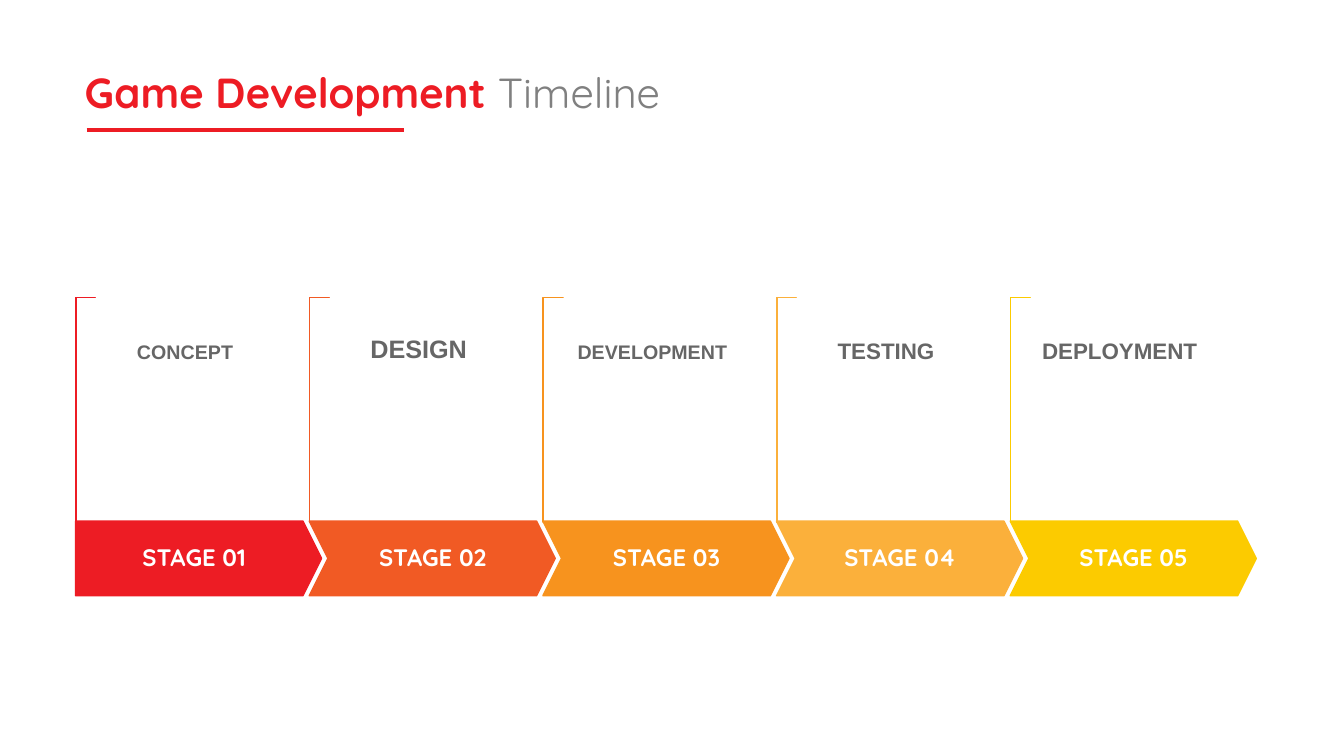
from lxml import etree
from pptx import Presentation
from pptx.dml.color import RGBColor
from pptx.enum.shapes import MSO_CONNECTOR, MSO_SHAPE
from pptx.enum.text import MSO_ANCHOR, PP_ALIGN
from pptx.oxml.ns import qn
from pptx.util import Inches, Pt

STRAIGHT = MSO_CONNECTOR.STRAIGHT
CORNER, PENTAGON, CHEVRON = MSO_SHAPE.CORNER, MSO_SHAPE.PENTAGON, MSO_SHAPE.CHEVRON
TOP, MIDDLE = MSO_ANCHOR.TOP, MSO_ANCHOR.MIDDLE
LEFT, CENTER = PP_ALIGN.LEFT, PP_ALIGN.CENTER

RED = RGBColor(0xED, 0x1C, 0x24)
VERMILION = RGBColor(0xF1, 0x5A, 0x24)
ORANGE = RGBColor(0xF7, 0x93, 0x1E)
AMBER = RGBColor(0xFB, 0xB0, 0x3B)
YELLOW = RGBColor(0xFC, 0xCB, 0x00)
WHITE = RGBColor(0xFF, 0xFF, 0xFF)
GREY = RGBColor(0x80, 0x80, 0x80)
DARK_GREY = RGBColor(0x66, 0x66, 0x66)

SLIDE_WIDTH, SLIDE_HEIGHT = 13.33, 7.5
FIRST_COLUMN = 0.75
COLUMN_PITCH = 9.27 / 4
ARROW_TOP, ARROW_WIDTH, ARROW_HEIGHT = 5.17, 2.44, 0.74
BRACKET_TOP, BRACKET_LENGTH, BRACKET_DEPTH = 2.95, 2.23, 0.2
TOPIC_TOP, TOPIC_WIDTH, TOPIC_HEIGHT = 3.06, 1.98, 1.55
INDENT = 0.19

STAGES = [
    ("CONCEPT", 14, RED),
    ("DESIGN", 18, VERMILION),
    ("DEVELOPMENT", 14, ORANGE),
    ("TESTING", 16, AMBER),
    ("DEPLOYMENT", 16, YELLOW),
]


def apply_format(target, values):
    """Set every attribute of target named in values."""
    for name, value in values.items():
        setattr(target, name, value)


def add_span(para, text, size, face, colour, bold=True):
    """Append a formatted run to a paragraph."""
    span = para.add_run()
    span.text = text
    apply_format(span.font, {"size": Pt(size), "name": face, "bold": bold})
    span.font.color.rgb = colour


def add_title(page):
    """Fill the title placeholder and draw the rule below its text."""
    title = page.shapes.title
    apply_format(title, {"left": Inches(0.74), "top": Inches(0.22),
                         "width": Inches(11.71), "height": Inches(1.45)})
    apply_format(title.text_frame, {"vertical_anchor": MIDDLE, "word_wrap": True})
    para = title.text_frame.paragraphs[0]
    apply_format(para, {"alignment": LEFT, "line_spacing": 0.9})
    add_span(para, "Game Development ", 30, "Quicksand", RED)
    add_span(para, "Timeline", 30, "Quicksand", GREY, False)

    rule = page.shapes.add_connector(
        STRAIGHT, Inches(0.86), Inches(1.29), Inches(4.01), Inches(1.29))
    rule.line.color.rgb = RED
    rule.line.width = Pt(3)
    etree.SubElement(rule._element.spPr, qn("a:effectLst"))


def add_outline(page, kind, bounds, adjustments, fill, line):
    """Add a filled preset shape with a one-point line."""
    shape = page.shapes.add_shape(kind, *map(Inches, bounds))
    shape.shadow.inherit = False
    for index, value in enumerate(adjustments):
        shape.adjustments[index] = value
    shape.fill.solid()
    shape.fill.fore_color.rgb = fill
    shape.line.color.rgb = line
    shape.line.width = Pt(1)
    return shape


def add_label(page, bounds, margins, anchor, spacing, *span_format):
    """Add a centred single-paragraph text box."""
    box = page.shapes.add_textbox(*map(Inches, bounds))
    frame = box.text_frame
    sides = ("margin_left", "margin_top", "margin_right", "margin_bottom")
    apply_format(frame, dict(zip(sides, map(Inches, margins))))
    apply_format(frame, {"word_wrap": True, "vertical_anchor": anchor})
    para = frame.paragraphs[0]
    apply_format(para, {"alignment": CENTER, "line_spacing": spacing})
    add_span(para, *span_format)


def add_stage(page, index, topic, topic_size, colour):
    """Draw one column: bracket, arrow, stage number and topic."""
    left = FIRST_COLUMN + index * COLUMN_PITCH
    shift = (BRACKET_LENGTH - BRACKET_DEPTH) / 2
    bracket = add_outline(
        page, CORNER,
        (left - shift, BRACKET_TOP + shift, BRACKET_LENGTH, BRACKET_DEPTH),
        (0.01, 0.01), WHITE, colour)
    bracket.rotation = 90

    is_first = index == 0
    add_outline(page, PENTAGON if is_first else CHEVRON,
                (left, ARROW_TOP, ARROW_WIDTH, ARROW_HEIGHT), (0.25,), colour, colour)
    label_left, label_width = (left, 2.35) if is_first else (left + INDENT, 2.07)
    add_label(page, (label_left, ARROW_TOP, label_width, ARROW_HEIGHT),
              (0.12, 0.24, 0.12, 0.24), MIDDLE, 0.9,
              f"STAGE {index + 1:02d}", 17, "Quicksand", WHITE)
    add_label(page, (left + INDENT, TOPIC_TOP, TOPIC_WIDTH, TOPIC_HEIGHT),
              (0.12, 0.47, 0.31, 0), TOP, Pt(15),
              topic, topic_size, "Arial", DARK_GREY)


def main():
    """Build the timeline slide and save it."""
    deck = Presentation()
    deck.slide_width = Inches(SLIDE_WIDTH)
    deck.slide_height = Inches(SLIDE_HEIGHT)
    page = deck.slides.add_slide(deck.slide_layouts.get_by_name("Title Only"))
    add_title(page)
    for index, stage in enumerate(STAGES):
        add_stage(page, index, *stage)
    deck.save("out.pptx")


if __name__ == "__main__":
    main()
